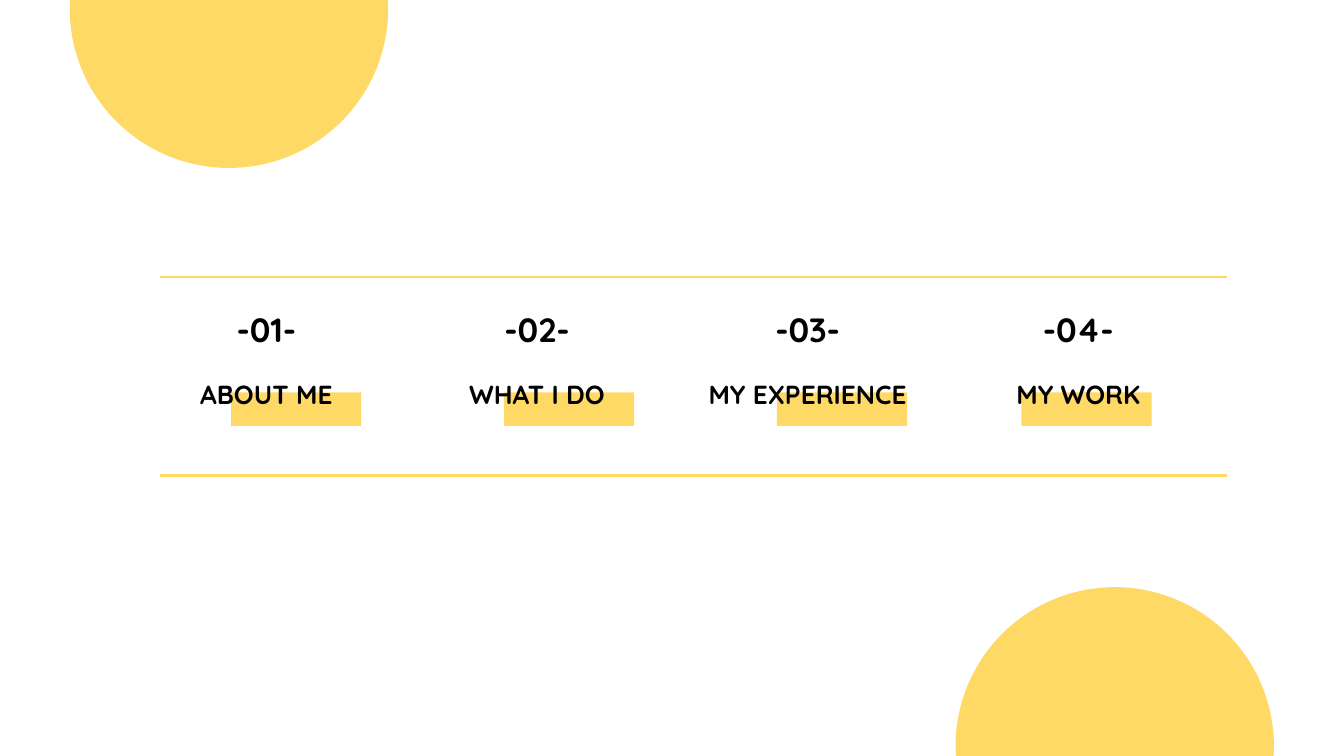
import pptx
import pptx.dml.color
import pptx.enum.shapes
import pptx.enum.text
import pptx.oxml.ns
import pptx.util
from lxml import etree

Pt = pptx.util.Pt
SHAPES = pptx.enum.shapes.MSO_SHAPE

YELLOW, BLACK = "FFD966", "000000"
FONT = "Quicksand"

# number, label, left edge of the highlight bar
SECTIONS = [
    ("-01-", "ABOUT ME", 123.8),
    ("-02-", "WHAT I DO", 270),
    ("-03-", "MY EXPERIENCE", 416.2),
    ("-04-", "MY WORK", 547.2),
]
CIRCLES = [(37.4, -80.6), (511.9, 314.6)]
CIRCLE_SIZE = 170.6
RULES = [148.4, 254.9]
RULE_LEFT, RULE_RIGHT = 85.7, 657.4

COLUMN_LEFT, COLUMN_PITCH = 75, 145
LABEL_TOP, LABEL_WIDTH, LABEL_HEIGHT = 182.9, 135.4, 43.9
NUMBER_TOP, NUMBER_WIDTH, NUMBER_HEIGHT = 167, 83.5, 27.4
BAR_TOP, BAR_WIDTH, BAR_HEIGHT = 210.2, 69.8, 18


def color(hex_text):
    return pptx.dml.color.RGBColor.from_string(hex_text)


def add_block(slide, kind, left, top, width, height):
    shape = slide.shapes.add_shape(kind, Pt(left), Pt(top), Pt(width), Pt(height))
    shape.shadow.inherit = False
    shape.fill.solid()
    shape.fill.fore_color.rgb = color(YELLOW)
    shape.line.fill.background()


def add_rule(slide, y):
    line = slide.shapes.add_connector(
        pptx.enum.shapes.MSO_CONNECTOR.STRAIGHT,
        Pt(RULE_LEFT), Pt(y), Pt(RULE_RIGHT), Pt(y))
    line.line.color.rgb = color(YELLOW)
    line.line.width = Pt(1.5)
    properties = line._element.spPr
    etree.SubElement(properties, pptx.oxml.ns.qn("a:effectLst"))


def write_text(slide, text, *, left, top, width, height, size, placeholder=None):
    """Write bold centred text in the placeholder, or in a new text box."""
    box = placeholder
    if box is None:
        box = slide.shapes.add_textbox(0, 0, 0, 0)
    box.left, box.top, box.width, box.height = Pt(left), Pt(top), Pt(width), Pt(height)
    frame = box.text_frame
    frame.word_wrap = True
    frame.auto_size = pptx.enum.text.MSO_AUTO_SIZE.NONE
    frame.vertical_anchor = pptx.enum.text.MSO_ANCHOR.BOTTOM
    frame.margin_left = frame.margin_right = Pt(7.2)
    frame.margin_top = frame.margin_bottom = Pt(7.2)
    paragraph = frame.paragraphs[0]
    paragraph.alignment = pptx.enum.text.PP_ALIGN.CENTER
    run = paragraph.add_run()
    run.text = text
    run.font.name = FONT
    run.font.size = Pt(size)
    run.font.bold = True
    run.font.color.rgb = color(BLACK)


def main():
    presentation = pptx.Presentation()
    presentation.slide_width, presentation.slide_height = Pt(720), Pt(405)
    slide = presentation.slides.add_slide(presentation.slide_layouts[5])

    for left, top in CIRCLES:
        add_block(slide, SHAPES.OVAL, left, top, CIRCLE_SIZE, CIRCLE_SIZE)

    for index, (number, label, bar_left) in enumerate(SECTIONS):
        left = COLUMN_LEFT + index * COLUMN_PITCH
        add_block(slide, SHAPES.RECTANGLE, bar_left, BAR_TOP, BAR_WIDTH, BAR_HEIGHT)
        write_text(slide, label, left=left, top=LABEL_TOP,
                   width=LABEL_WIDTH, height=LABEL_HEIGHT, size=14)
        write_text(slide, number, left=left + (LABEL_WIDTH - NUMBER_WIDTH) / 2,
                   top=NUMBER_TOP, width=NUMBER_WIDTH, height=NUMBER_HEIGHT, size=18,
                   placeholder=slide.shapes.title if index == 0 else None)

    for y in RULES:
        add_rule(slide, y)

    presentation.save("out.pptx")


if __name__ == "__main__":
    main()
